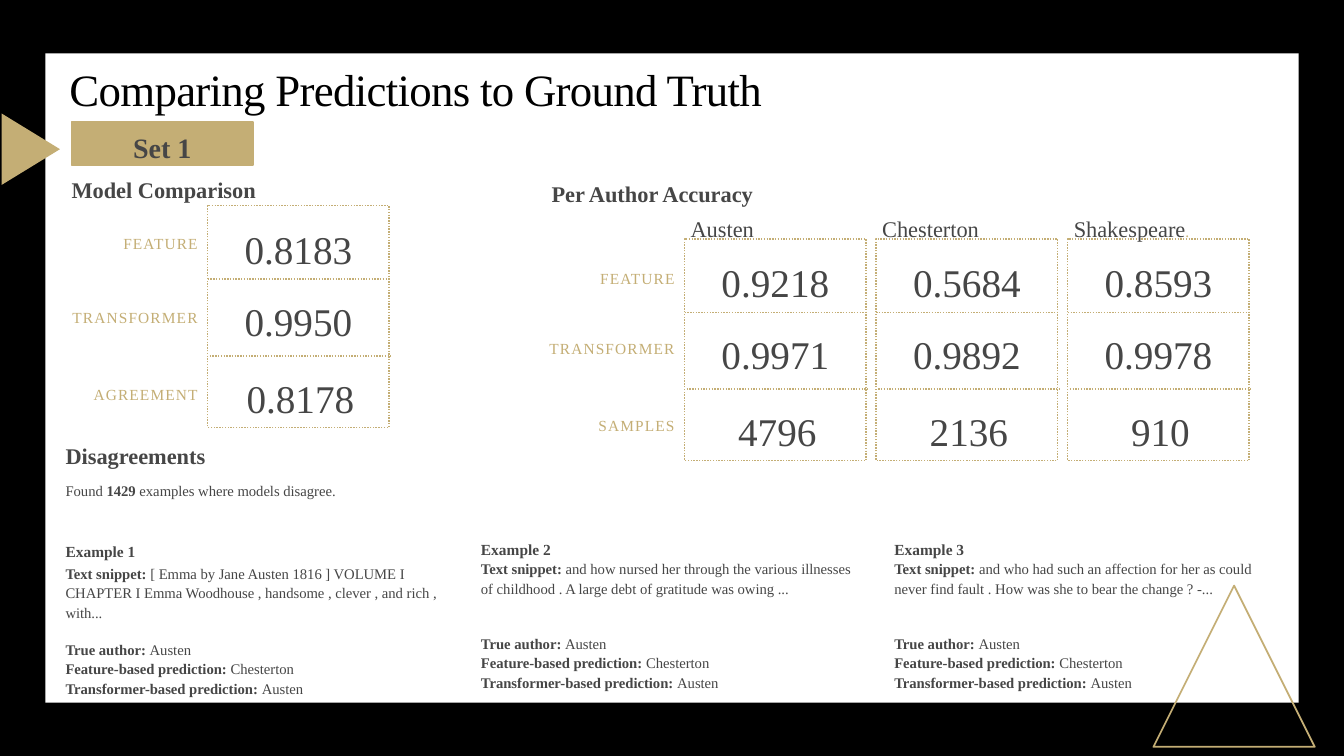
from dataclasses import dataclass

from lxml import etree
from pptx import Presentation, util as u
from pptx.dml.color import RGBColor
from pptx.enum import dml, shapes, text
from pptx.oxml.ns import qn

SHAPE = shapes.MSO_SHAPE
ALIGN = text.PP_ALIGN
GRID = 0.1  # inches per column and per row


@dataclass(frozen=True)
class Theme:
    font: str = "Times New Roman"
    black: str = "000000"
    white: str = "FFFFFF"
    gold: str = "C4AE75"
    gray: str = "464646"
    title: float = 32
    value: float = 28
    badge: float = 20
    head: float = 16
    label: float = 11
    body: float = 10.5


@dataclass
class Para:
    """One paragraph; each run is a pair of text and bold."""
    runs: list
    size: float
    before: float = 0
    after: float = 0


def grid(*cells):
    return [u.Inches(cell * GRID) for cell in cells]


def tint(name):
    return RGBColor.from_string(name)


class Deck:
    def __init__(self, theme):
        self.theme = theme
        self.file = Presentation()
        self.file.slide_width, self.file.slide_height = grid(133.3, 75)
        self.slide = self.file.slides.add_slide(self.file.slide_layouts[6])
        fill = self.slide.background.fill
        fill.solid()
        fill.fore_color.rgb = tint(theme.black)

    def stroke(self, line, width, dots):
        line.color.rgb = tint(self.theme.gold)
        line.width = u.Pt(width)
        if dots:
            line.dash_style = dml.MSO_LINE.ROUND_DOT

    def shape(self, kind, *box, fill=None, width=0, dots=False, turn=0):
        item = self.slide.shapes.add_shape(kind, *grid(*box))
        item.shadow.inherit = False
        item.rotation = turn
        if fill:
            item.fill.solid()
            item.fill.fore_color.rgb = tint(fill)
        else:
            item.fill.background()
        if width:
            self.stroke(item.line, width, dots)
        else:
            item.line.fill.background()

    def rule(self, left, top, width):
        """Draw a dotted level line."""
        line = self.slide.shapes.add_connector(
            shapes.MSO_CONNECTOR.STRAIGHT, *grid(left, top, left + width, top))
        self.stroke(line.line, 1, True)
        etree.SubElement(line._element.spPr, qn("a:effectLst"))

    def words(self, box, paras, color=None, align=ALIGN.LEFT, inset=0,
              space=0, lead=1.1, anchor=text.MSO_ANCHOR.TOP):
        """Add a text box; space is letter spacing in points."""
        frame = self.slide.shapes.add_textbox(*grid(*box)).text_frame
        frame.word_wrap = True
        frame.vertical_anchor = anchor
        frame.margin_left = frame.margin_right = u.Inches(inset)
        for i, para in enumerate(paras):
            p = frame.add_paragraph() if i else frame.paragraphs[0]
            p.alignment, p.line_spacing = align, lead
            p.space_before, p.space_after = u.Pt(para.before), u.Pt(para.after)
            font = p.font
            font.name, font.size = self.theme.font, u.Pt(para.size)
            font.color.rgb = tint(color or self.theme.gray)
            for phrase, bold in para.runs:
                run = p.add_run()
                run.text, run.font.bold = phrase, bold
                if space:
                    run._r.get_or_add_rPr().set("spc", str(round(space * 100)))
        return frame

    def head(self, phrase, *box, bold=True):
        return self.words(box, [Para([(phrase, bold)], self.theme.head)])

    def label(self, phrase, right, top):
        self.words((right - 15, top, 15, 2.9),
                   [Para([(phrase, False)], self.theme.label)],
                   self.theme.gold, ALIGN.RIGHT, 0.1, 0.8)

    def card(self, left, top, values):
        """Draw a dotted frame with three stacked values."""
        self.shape(SHAPE.RECTANGLE, left, top, 18, 22, width=1, dots=True)
        self.rule(left, top + 7.3, 18)
        self.rule(left + 0.2, top + 14.9, 18)
        for value, drop, shift in zip(values, (1, 8.1, 15.8), (0, 0, 0.2)):
            self.words((left + shift, top + drop, 18, 5),
                       [Para([(value, False)], self.theme.value)],
                       align=ALIGN.CENTER)


def sample(theme, number, snippet, gap, before=0, after=0):
    """List the paragraphs of one example; gap sets its author block apart."""
    return [
        Para([(f"Example {number}", True)], theme.label, before, after),
        Para([("Text snippet: ", True), (snippet, False)], theme.body),
        Para([("True author: ", True), ("Austen", False)], theme.body, gap),
        Para([("Feature-based prediction: ", True), ("Chesterton", False)],
             theme.body),
        Para([("Transformer-based prediction: ", True), ("Austen", False)],
             theme.body),
    ]


def main():
    theme = Theme()
    deck = Deck(theme)
    deck.shape(SHAPE.RECTANGLE, 4.5, 5.3, 124.3, 64.4, fill=theme.white)
    deck.shape(SHAPE.ISOSCELES_TRIANGLE, 114.4, 58.1, 16, 16, width=1.25)
    deck.shape(SHAPE.ISOSCELES_TRIANGLE, -0.5, 11.9, 7.1, 5.8,
               fill=theme.gold, turn=90)
    deck.words((5.9, 4.1, 110.9, 10),
               [Para([("Comparing Predictions to Ground Truth", False)],
                     theme.title)],
               theme.black, inset=0.1, space=-0.5, lead=0.9,
               anchor=text.MSO_ANCHOR.MIDDLE)
    deck.shape(SHAPE.RECTANGLE, 7.1, 12.1, 18, 4.3, fill=theme.gold, width=1.25)
    deck.words((7.1, 12.1, 18, 3.9), [Para([("Set 1", True)], theme.badge)],
               align=ALIGN.CENTER)

    deck.head("Model Comparison", 7.1, 16.7, 31.5, 3.9)
    deck.card(20.6, 20.4, ("0.8183", "0.9950", "0.8178"))
    models = ("FEATURE", "TRANSFORMER")
    for name, top in zip(models + ("AGREEMENT",), (22.6, 29.9, 37.5)):
        deck.label(name, 20.6, top)

    deck.head("Per Author Accuracy", 54.7, 17.1, 28.2, 3.9)
    authors = {
        "Austen": ("0.9218", "0.9971", "4796"),
        "Chesterton": ("0.5684", "0.9892", "2136"),
        "Shakespeare": ("0.8593", "0.9978", "910"),
    }
    for i, (name, values) in enumerate(authors.items()):
        left = 67.9 + 19 * i
        deck.card(left, 23.7, values)
        title = deck.head(name, left + 0.6, 20.6, 18, 3.9, bold=False)
    dot = title.paragraphs[0].add_run()
    dot.text = "."
    dot.font.size = u.Pt(theme.label)
    dot.font.color.rgb = tint(theme.gold)
    for name, top in zip(models + ("SAMPLES",), (26, 33, 40.6)):
        deck.label(name, 67.9, top)

    found = [
        Para([("Disagreements", True)], theme.head, after=2),
        Para([("Found ", False), ("1429 ", True),
              ("examples where models disagree.", False)], theme.body, 6, 2),
    ]
    deck.words((6.5, 43.1, 38.1, 25.1), found + sample(
        theme, 1, "[ Emma by Jane Austen 1816 ] VOLUME I CHAPTER I Emma "
        "Woodhouse , handsome , clever , and rich , with...", 12.8, 26.8, 2))
    snippets = (
        "and how nursed her through the various illnesses of childhood . "
        "A large debt of gratitude was owing ...",
        "and who had such an affection for her as could never find fault . "
        "How was she to bear the change ? -...",
    )
    for i, snippet in enumerate(snippets):
        deck.words((47.7 + 41 * i, 52.9, 38.1, 15.3),
                   sample(theme, i + 2, snippet, 25.6))
    deck.file.save("out.pptx")


if __name__ == "__main__":
    main()
